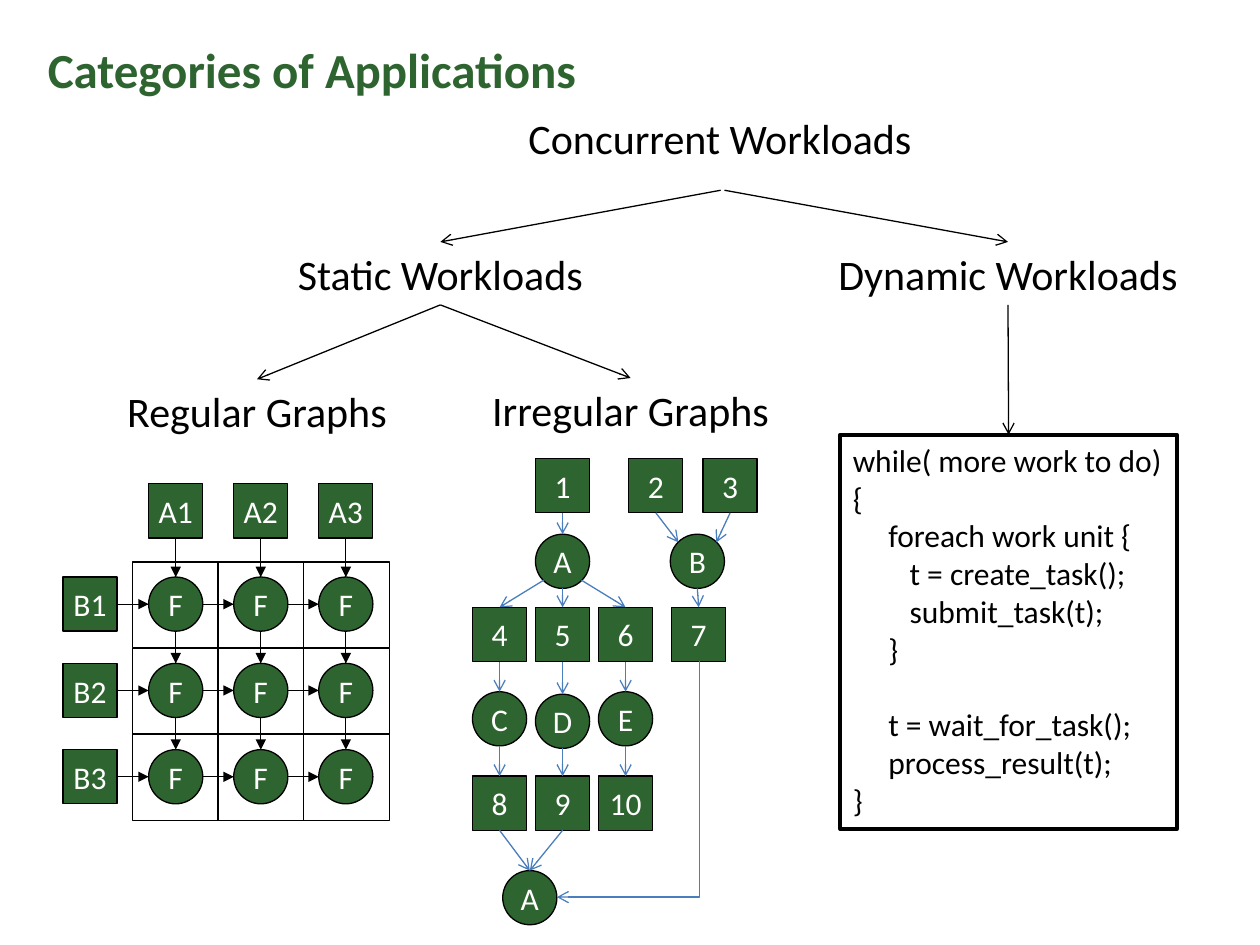
import lxml.etree
import pptx
import pptx.dml.color
import pptx.enum.shapes
import pptx.enum.text
import pptx.oxml.ns
import pptx.util

Inches = pptx.util.Inches
Pt = pptx.util.Pt
qn = pptx.oxml.ns.qn
RECT = pptx.enum.shapes.MSO_SHAPE.RECTANGLE
OVAL = pptx.enum.shapes.MSO_SHAPE.OVAL
STRAIGHT = pptx.enum.shapes.MSO_CONNECTOR.STRAIGHT
ELBOW = pptx.enum.shapes.MSO_CONNECTOR.ELBOW
ALIGN = pptx.enum.text.PP_ALIGN
ANCHOR = pptx.enum.text.MSO_ANCHOR
AUTO_SIZE = pptx.enum.text.MSO_AUTO_SIZE

GREEN = pptx.dml.color.RGBColor(0x2E, 0x64, 0x2F)
BLUE = pptx.dml.color.RGBColor(0x4B, 0x7E, 0xBC)
BLACK = pptx.dml.color.RGBColor(0, 0, 0)
WHITE = pptx.dml.color.RGBColor(255, 255, 255)
FONT = "Calibri"
NODE = 0.43

prs = pptx.Presentation()
prs.slide_width = Inches(10)
prs.slide_height = Inches(7.5)
s = prs.slides.add_slide(prs.slide_layouts[5])


def add_box(kind, x, y, w, h, text="", fill=None, line_width=0.75):
    sp = s.shapes.add_shape(kind, Inches(x), Inches(y), Inches(w), Inches(h))
    sp.shadow.inherit = False
    if fill is None:
        sp.fill.background()
    else:
        sp.fill.solid()
        sp.fill.fore_color.rgb = fill
    sp.line.color.rgb = BLACK
    sp.line.width = Pt(line_width)
    tf = sp.text_frame
    tf.text = text
    tf.word_wrap = fill is None
    tf.vertical_anchor = ANCHOR.TOP if fill is None else ANCHOR.MIDDLE
    for p in tf.paragraphs:
        p.alignment = ALIGN.LEFT if fill is None else ALIGN.CENTER
        p.font.size = Pt(18)
        p.font.name = FONT
        p.font.color.rgb = BLACK if fill is None else WHITE
    return sp


def add_arrow(x1, y1, x2, y2, color=BLACK, head="arrow", kind=STRAIGHT):
    c = s.shapes.add_connector(kind, Inches(x1), Inches(y1), Inches(x2), Inches(y2))
    c.line.color.rgb = color
    c.line.width = Pt(0.75)
    lxml.etree.SubElement(c.line._get_or_add_ln(), qn("a:tailEnd"), type=head)
    lxml.etree.SubElement(c._element.spPr, qn("a:effectLst"))
    return c


title = s.shapes.title
title.left, title.top = Inches(0.28), Inches(0.26)
title.width, title.height = Inches(4.44), Inches(0.57)
tf = title.text_frame
tf.text = "Categories of Applications"
tf.word_wrap = False
tf.auto_size = AUTO_SIZE.NONE
tf.vertical_anchor = ANCHOR.TOP
p = tf.paragraphs[0]
p.alignment = ALIGN.LEFT
r = p.runs[0]
r.font.size = Pt(28)
r.font.bold = True
r.font.name = FONT
r.font.color.rgb = GREEN

labels = {}
for text, x, y, w in [
    ("Concurrent Workloads", 4.08, 0.84, 3.27),
    ("Static Workloads", 2.25, 1.92, 2.49),
    ("Dynamic Workloads", 6.54, 1.92, 2.92),
    ("Regular Graphs", 0.9, 3.01, 2.28),
    ("Irregular Graphs", 3.68, 3, 2.65),
]:
    sp = s.shapes.add_textbox(Inches(x), Inches(y), Inches(w), Inches(0.5))
    tf = sp.text_frame
    tf.text = text
    tf.word_wrap = False
    tf.auto_size = AUTO_SIZE.SHAPE_TO_FIT_TEXT
    p = tf.paragraphs[0]
    p.alignment = ALIGN.CENTER
    r = p.runs[0]
    r.font.size = Pt(24)
    r.font.name = FONT
    r.font.color.rgb = BLACK
    labels[text.split()[0]] = sp

code = """while( more work to do) {
     foreach work unit {
        t = create_task();
        submit_task(t);
     }

     t = wait_for_task();
     process_result(t);
}"""
code_box = add_box(RECT, 6.67, 3.45, 2.67, 3.13, code, line_width=2.25)

add_arrow(5.72, 1.51, 3.49, 1.92).end_connect(labels["Static"], 0)
add_arrow(5.75, 1.51, 8, 1.92).end_connect(labels["Dynamic"], 0)
for parent, child in [
    (labels["Static"], labels["Regular"]),
    (labels["Static"], labels["Irregular"]),
    (labels["Dynamic"], code_box),
]:
    c = add_arrow(0, 0, 1, 1)
    c.begin_connect(parent, 2)
    c.end_connect(child, 0)

CELL = 0.68
columns = [1.18 + i * 0.675 for i in range(3)]
rows = [4.58 + i * 0.685 for i in range(3)]
for i in range(3):
    for j in range(3):
        add_box(RECT, 1.05 + j * CELL, 4.46 + i * 0.685, CELL, CELL)
for i in range(3):
    a = add_box(RECT, columns[i], 3.84, NODE, NODE, f"A{i + 1}", GREEN)
    b = add_box(RECT, 0.5, rows[i], NODE, NODE, f"B{i + 1}", GREEN)
    x, y = columns[i] + NODE / 2, rows[i] + NODE / 2
    for j in range(3):
        add_arrow(x, 4.27, x, rows[j], head="triangle").begin_connect(a, 2)
        add_arrow(0.93, y, columns[j], y, head="triangle").begin_connect(b, 3)
for y in rows:
    for x in columns:
        add_box(OVAL, x, y, NODE, NODE, "F", GREEN)

squares = {
    "1": (4.25, 3.64), "2": (4.99, 3.64), "3": (5.58, 3.64),
    "4": (3.75, 4.82), "5": (4.25, 4.82), "6": (4.75, 4.82), "7": (5.33, 4.82),
    "8": (3.75, 6.16), "9": (4.25, 6.16), "10": (4.75, 6.16),
}
circles = {
    "A": (4.25, 4.24), "B": (5.32, 4.24), "C": (3.75, 5.49),
    "D": (4.25, 5.51), "E": (4.75, 5.49), "last": (3.99, 6.91),
}
places = {**squares, **circles}
nodes = {}
for name, (x, y) in places.items():
    kind = RECT if name in squares else OVAL
    text = "A" if name == "last" else name
    nodes[name] = add_box(kind, x, y, NODE, NODE, text, GREEN)

DIAGONAL = 0.15
for start, end, start_side, end_side in [
    ("1", "A", 0, 0), ("2", "B", 0, -1), ("3", "B", 0, 1),
    ("A", "4", -1, 0), ("A", "5", 0, 0), ("A", "6", 1, 0), ("B", "7", 0, 0),
    ("4", "C", 0, 0), ("5", "D", 0, 0), ("6", "E", 0, 0),
    ("C", "8", 0, 0), ("D", "9", 0, 0), ("E", "10", 0, 0),
    ("8", "last", 0, 0), ("9", "last", 0, 0),
]:
    x1, y1 = [v + NODE / 2 for v in places[start]]
    x2, y2 = [v + NODE / 2 for v in places[end]]
    c = add_arrow(
        x1 + start_side * DIAGONAL, y1 + (DIAGONAL if start_side else NODE / 2),
        x2 + end_side * DIAGONAL, y2 - (DIAGONAL if end_side else NODE / 2), BLUE)
    if start in squares:
        c.begin_connect(nodes[start], 2)
    if end in squares:
        c.end_connect(nodes[end], 0)

bent = add_arrow(4.05, 5.62, 5.92, 6.75, BLUE, kind=ELBOW)
bent._element.spPr.find(qn("a:prstGeom")).set("prst", "bentConnector2")
bent._element.spPr.find(qn("a:xfrm")).set("rot", str(90 * 60000))

prs.save("out.pptx")
